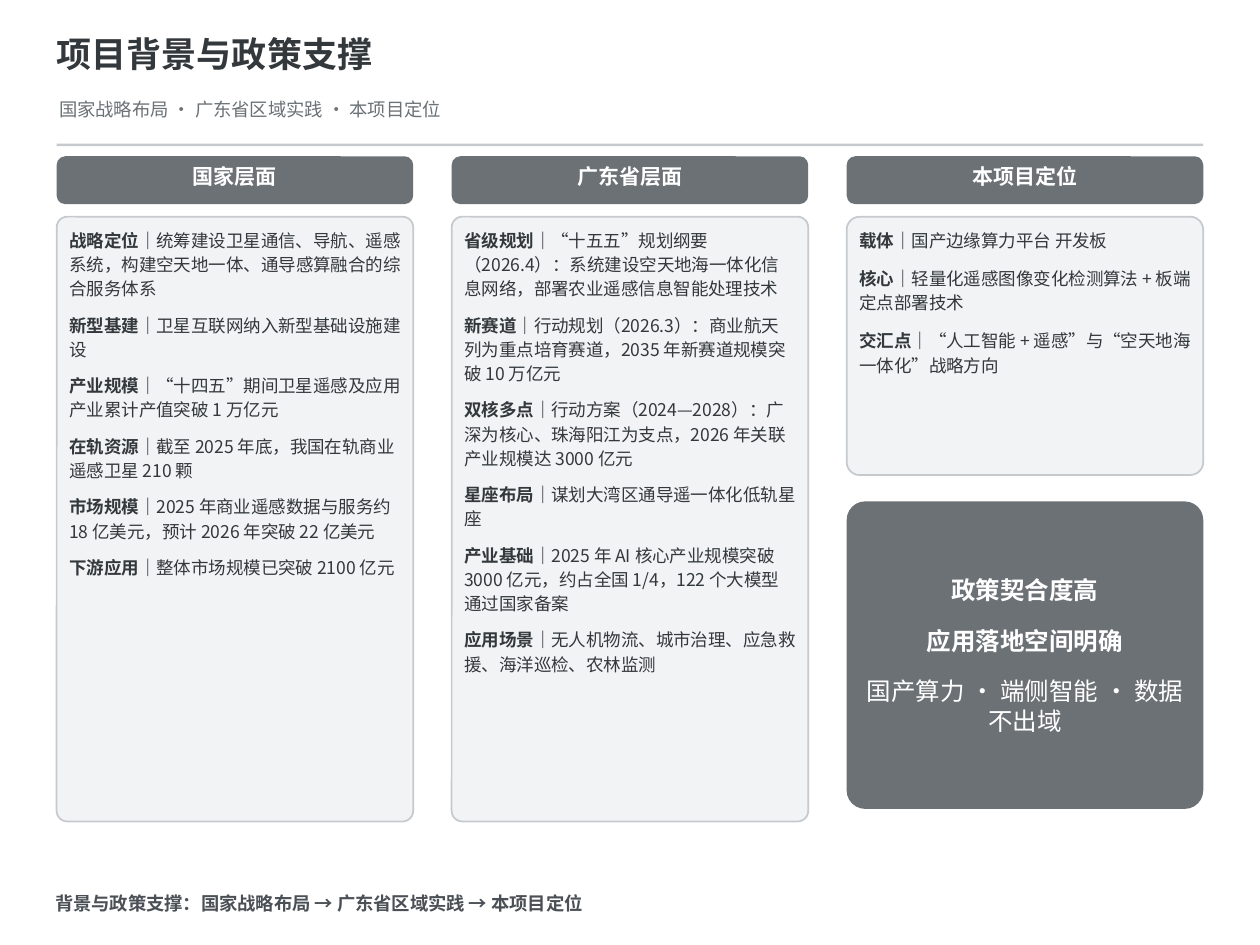
import pptx
import pptx.dml.color
import pptx.enum.shapes
import pptx.enum.text
import pptx.oxml.ns
import pptx.util
import lxml.etree

Inches = pptx.util.Inches
ALIGN = pptx.enum.text.PP_ALIGN
ANCHOR = pptx.enum.text.MSO_ANCHOR
SHAPE = pptx.enum.shapes.MSO_SHAPE

FONT = "Noto Sans CJK SC"
COLORS = {
    "ink": "33383C",
    "slate": "6B7175",
    "rule": "C6CACE",
    "card": "F2F3F4",
    "footer": "4A5055",
    "white": "FFFFFF",
}
LEFT, CONTENT_WIDTH, COLUMN_WIDTH = 0.45, 9.1, 2.83
COLUMN_STEP = (CONTENT_WIDTH - COLUMN_WIDTH) / 2
CARD_INSETS = (0.1, 0.08, 0.1, 0.08)

COLUMNS = [
    ("国家层面", 4.8, 0.03, 7, [
        ("战略定位", "统筹建设卫星通信、导航、遥感系统，构建空天地一体、通导感算融合的综合服务体系"),
        ("新型基建", "卫星互联网纳入新型基础设施建设"),
        ("产业规模", "“十四五”期间卫星遥感及应用产业累计产值突破 1 万亿元"),
        ("在轨资源", "截至 2025 年底，我国在轨商业遥感卫星 210 颗"),
        ("市场规模", "2025 年商业遥感数据与服务约 18 亿美元，预计 2026 年突破 22 亿美元"),
        ("下游应用", "整体市场规模已突破 2100 亿元"),
    ]),
    ("广东省层面", 4.8, 0.03, 7, [
        ("省级规划", "“十五五”规划纲要（2026.4）：系统建设空天地海一体化信息网络，部署农业遥感信息智能处理技术"),
        ("新赛道", "行动规划（2026.3）：商业航天列为重点培育赛道，2035 年新赛道规模突破 10 万亿元"),
        ("双核多点", "行动方案（2024—2028）：广深为核心、珠海阳江为支点，2026 年关联产业规模达 3000 亿元"),
        ("星座布局", "谋划大湾区通导遥一体化低轨星座"),
        ("产业基础", "2025 年 AI 核心产业规模突破 3000 亿元，约占全国 1/4，122 个大模型通过国家备案"),
        ("应用场景", "无人机物流、城市治理、应急救援、海洋巡检、农林监测"),
    ]),
    ("本项目定位", 2.05, 0.05, 8, [
        ("载体", "国产边缘算力平台 开发板"),
        ("核心", "轻量化遥感图像变化检测算法 + 板端定点部署技术"),
        ("交汇点", "“人工智能 + 遥感”与“空天地海一体化”战略方向"),
    ]),
]
CONCLUSIONS = [
    ("政策契合度高", True),
    ("应用落地空间明确", True),
    ("国产算力 · 端侧智能 · 数据不出域", False),
]


def write(paragraph, text, size=10, color="ink", bold=False):
    run = paragraph.add_run()
    run.text = text
    font = run.font
    font.size = pptx.util.Pt(size)
    font.bold = bold
    font.name = FONT
    font.color.rgb = pptx.dml.color.RGBColor.from_string(COLORS[color])
    properties = run._r.get_or_add_rPr()
    east_asian = lxml.etree.SubElement(properties, pptx.oxml.ns.qn("a:ea"))
    east_asian.set("typeface", FONT)


class PolicySlide:
    def __init__(self, slide):
        self.slide = slide

    def place(self, shape, left, top, width, height):
        shape.left, shape.top = Inches(left), Inches(top)
        shape.width, shape.height = Inches(width), Inches(height)

    def frame(self, shape, insets, anchor=ANCHOR.TOP):
        frame = shape.text_frame
        frame.word_wrap = True
        frame.auto_size = pptx.enum.text.MSO_AUTO_SIZE.NONE
        frame.vertical_anchor = anchor
        frame.margin_left, frame.margin_top, frame.margin_right, frame.margin_bottom = map(Inches, insets)
        return frame

    def paragraph(self, frame, first, align=ALIGN.LEFT, after=0, spacing=1.0):
        paragraph = frame.paragraphs[0] if first else frame.add_paragraph()
        properties = paragraph._p.get_or_add_pPr()
        properties.set("marL", "0")
        properties.set("indent", "0")
        lxml.etree.SubElement(properties, pptx.oxml.ns.qn("a:buNone"))
        paragraph.alignment = align
        paragraph.space_before = pptx.util.Pt(0)
        paragraph.space_after = pptx.util.Pt(after)
        paragraph.line_spacing = spacing
        return paragraph

    def heading(self, index, text, box, **style):
        holder = self.slide.placeholders[index]
        self.place(holder, *box)
        frame = self.frame(holder, (0, 0, 0, 0))
        write(self.paragraph(frame, True), text, **style)

    def panel(self, box, fill, radius=None, outline=None):
        kind = SHAPE.RECTANGLE if radius is None else SHAPE.ROUNDED_RECTANGLE
        shape = self.slide.shapes.add_shape(kind, *map(Inches, box))
        shape.shadow.inherit = False
        if radius is not None:
            shape.adjustments[0] = radius
        shape.fill.solid()
        shape.fill.fore_color.rgb = pptx.dml.color.RGBColor.from_string(COLORS[fill])
        if outline:
            shape.line.color.rgb = pptx.dml.color.RGBColor.from_string(COLORS[outline])
            shape.line.width = pptx.util.Pt(1)
        else:
            shape.line.fill.background()
        return shape

    def column_header(self, left, text):
        header = self.panel((left, 1.24, COLUMN_WIDTH, 0.38), "slate", 0.18)
        frame = self.frame(header, (0.05, 0.04, 0.05, 0.02))
        write(self.paragraph(frame, True, ALIGN.CENTER), text, size=12, color="white", bold=True)

    def card(self, index, left, height, radius, after, items):
        box = (left, 1.72, COLUMN_WIDTH, height)
        background = self.panel(box, "card", radius, "rule")
        holder = self.slide.placeholders[index]
        holder._element.addprevious(background._element)
        self.place(holder, *box)
        frame = self.frame(holder, CARD_INSETS)
        for number, (label, detail) in enumerate(items):
            paragraph = self.paragraph(frame, number == 0, after=after, spacing=1.15)
            write(paragraph, label + "｜", bold=True)
            write(paragraph, detail)

    def conclusion(self, left, lines):
        block = self.panel((left, 3.98, COLUMN_WIDTH, 2.44), "slate", 0.06)
        frame = self.frame(block, CARD_INSETS, ANCHOR.MIDDLE)
        for number, (text, bold) in enumerate(lines):
            paragraph = self.paragraph(frame, number == 0, ALIGN.CENTER, after=12)
            write(paragraph, text, size=14, color="white", bold=bold)

    def footer(self, text):
        box = self.slide.shapes.add_textbox(*map(Inches, (0.34, 7.03, 9.32, 0.34)))
        frame = self.frame(box, (0.1, 0.05, 0.1, 0.05))
        write(self.paragraph(frame, True), text, size=10.5, color="footer", bold=True)


def main():
    deck = pptx.Presentation()
    deck.slide_width, deck.slide_height = Inches(10), Inches(7.5)
    comparison_layout = deck.slide_layouts[4]
    page = PolicySlide(deck.slides.add_slide(comparison_layout))

    page.heading(0, "项目背景与政策支撑", (LEFT, 0.26, CONTENT_WIDTH, 0.5), size=20, bold=True)
    page.heading(1, "国家战略布局 · 广东省区域实践 · 本项目定位",
                 (0.47, 0.78, CONTENT_WIDTH, 0.28), size=10.5, color="slate")
    page.panel((LEFT, 1.14, CONTENT_WIDTH, 0.02), "rule")

    for number, (header, height, radius, after, items) in enumerate(COLUMNS):
        left = LEFT + number * COLUMN_STEP
        page.column_header(left, header)
        page.card(number + 2, left, height, radius, after, items)

    page.conclusion(LEFT + 2 * COLUMN_STEP, CONCLUSIONS)
    page.footer("背景与政策支撑：国家战略布局 → 广东省区域实践 → 本项目定位")
    deck.save("out.pptx")


if __name__ == "__main__":
    main()
